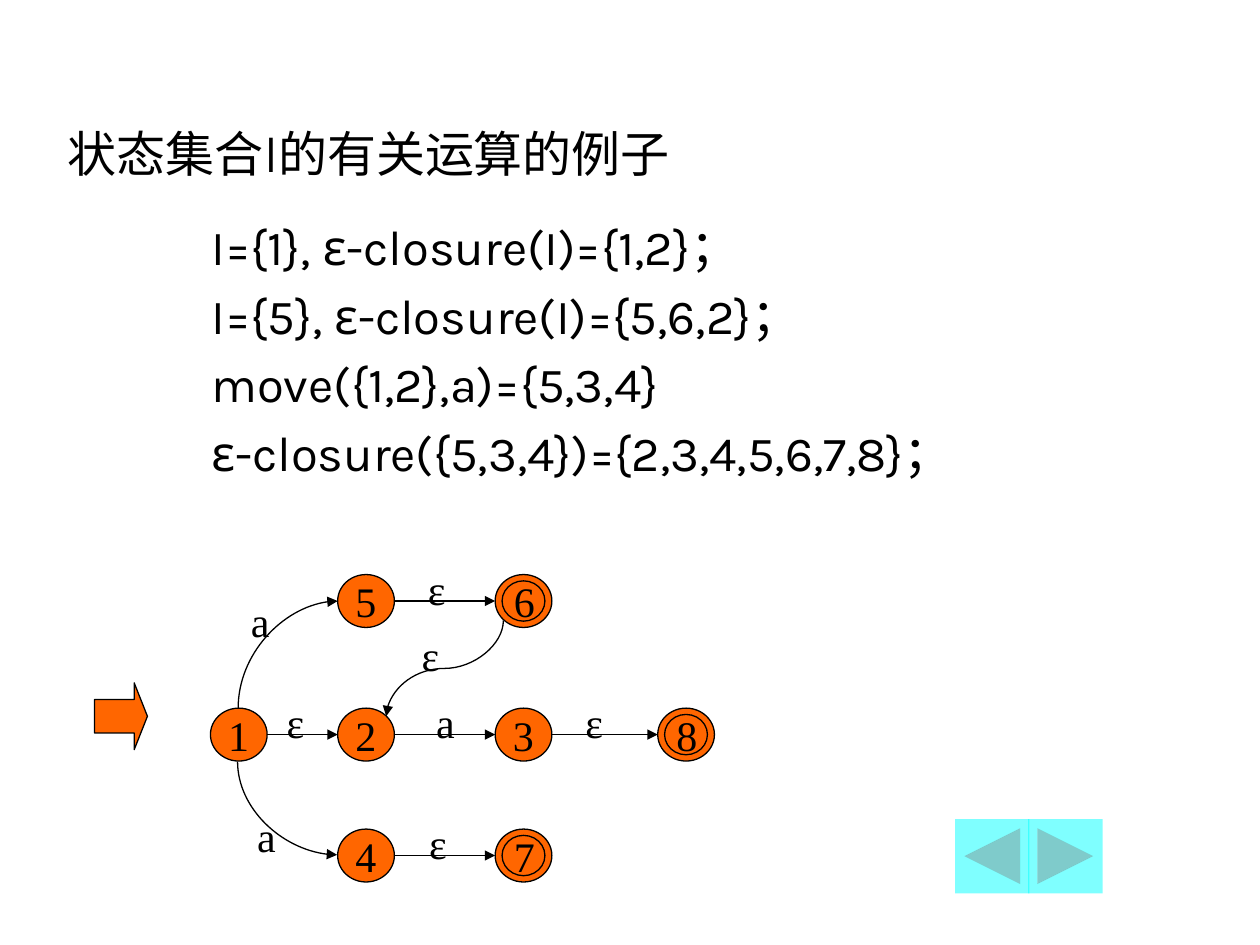
from lxml import etree
from pptx import Presentation
from pptx.dml.color import RGBColor
from pptx.enum.shapes import MSO_CONNECTOR as CONN, MSO_SHAPE as SHAPE
from pptx.enum.text import MSO_ANCHOR as ANCHOR, MSO_AUTO_SIZE as AUTO, PP_ALIGN as ALIGN
from pptx.oxml.ns import qn
from pptx.util import Inches, Pt

BLACK = RGBColor(0x00, 0x00, 0x00)
ORANGE = RGBColor(0xFF, 0x66, 0x00)
CYAN = RGBColor(0x00, 0xFF, 0xFF)

# Content
TITLE = "状态集合I的有关运算的例子"
LINES = [
    "I={1}, ε-closure(I)={1,2}；",
    "I={5}, ε-closure(I)={5,6,2}；",
    "move({1,2},a)={5,3,4}",
    "ε-closure({5,3,4})={2,3,4,5,6,7,8}；",
]
COLS = [1.67, 2.68, 3.93, 5.22]
ROWS = [4.56, 5.62, 6.58]
STATES = {  # state: (column, row)
    "1": (0, 1), "2": (1, 1), "5": (1, 0), "3": (2, 1),
    "4": (1, 2), "6": (2, 0), "8": (3, 1), "7": (2, 2),
}
FINAL = {"6", "7", "8"}
STRAIGHT = [("4", "7"), ("2", "3"), ("5", "6"), ("1", "2"), ("3", "8")]
CURVES = [  # preset, left, top, width, height, rotation, mirrored
    ("curvedConnector3", 3.15, 4.84, 0.76, 0.93, 90, False),
    ("curvedConnector2", 1.86, 4.80, 0.85, 0.79, 270, False),
    ("curvedConnector2", 1.91, 6.02, 0.74, 0.79, 270, True),
]
LABELS = [
    ("a", 1.89, 4.68), ("a", 1.94, 6.38), ("ε", 2.17, 5.48), ("ε", 3.24, 4.95),
    ("ε", 3.29, 4.42), ("ε", 4.54, 5.48), ("ε", 3.30, 6.44), ("a", 3.36, 5.48),
]
BUTTONS = [
    (SHAPE.ACTION_BUTTON_BACK_OR_PREVIOUS, 7.58),
    (SHAPE.ACTION_BUTTON_FORWARD_OR_NEXT, 8.16),
]
NODE_W, NODE_H = 0.45, 0.42
RING_W, RING_H = 0.34, 0.32
LABEL_W, LABEL_H = 0.35, 0.5
DIAGRAM_FONT = {"name": "Times New Roman", "size": Pt(24)}


def write(p, text, font):
    r = p.add_run()
    r.text = text
    for key, value in font.items():
        setattr(r.font, key, value)
    r.font.color.rgb = BLACK


def add_box(shapes, x, y, w, h, **frame):
    tf = shapes.add_textbox(*map(Inches, (x, y, w, h))).text_frame
    for key, value in frame.items():
        setattr(tf, key, value)
    return tf


def center_text(tf, text):
    tf.word_wrap = False
    tf.vertical_anchor = ANCHOR.MIDDLE
    tf.paragraphs[0].alignment = ALIGN.CENTER
    write(tf.paragraphs[0], text, DIAGRAM_FONT)


def add_label(shapes, text, x, y):
    tf = add_box(shapes, x, y, LABEL_W, LABEL_H, auto_size=AUTO.SHAPE_TO_FIT_TEXT)
    center_text(tf, text)


def add_filled(shapes, kind, x, y, w, h, color=ORANGE, outlined=True):
    s = shapes.add_shape(kind, *map(Inches, (x, y, w, h)))
    s.shadow.inherit = False
    s.fill.solid()
    s.fill.fore_color.rgb = color
    if outlined:
        s.line.color.rgb = BLACK
        s.line.width = Pt(0.75)
    else:
        s.line.fill.background()
    return s


def add_arrow(shapes, kind, x1, y1, x2, y2):
    c = shapes.add_connector(kind, *map(Inches, (x1, y1, x2, y2)))
    c.line.color.rgb = BLACK
    c.line.width = Pt(0.75)
    etree.SubElement(c.line._get_or_add_ln(), qn("a:tailEnd"), type="triangle")
    etree.SubElement(c._element.spPr, qn("a:effectLst"))
    return c


prs = Presentation()
prs.slide_width, prs.slide_height = Inches(10), Inches(7.5)
slide = prs.slides.add_slide(prs.slide_layouts[6])

# Title and formulas
tf = add_box(slide.shapes, 0.44, 0.25, 8.5, 1.25,
             word_wrap=True, vertical_anchor=ANCHOR.BOTTOM)
write(tf.paragraphs[0], TITLE, {"name": "Montserrat", "size": Pt(28)})

tf = add_box(slide.shapes, 1.08, 1.67, 8.5, 5.5, word_wrap=True)
for i, line in enumerate(LINES):
    p = tf.add_paragraph() if i else tf.paragraphs[0]
    p.space_before = Pt(5.6)
    pPr = p._p.get_or_add_pPr()
    pPr.set("marL", str(Inches(0.81)))
    pPr.set("indent", str(Inches(-0.31)))
    write(p, line, {"name": "Karla", "size": Pt(28)})

# Navigation buttons
for kind, x in BUTTONS:
    s = add_filled(slide.shapes, kind, x, 6.5, 0.59, 0.59, CYAN, outlined=False)
    clr = s._element.spPr.find(qn("a:solidFill"))[0]
    etree.SubElement(clr, qn("a:alpha"), val="50000")

# States: final ones have an inner ring
diagram = slide.shapes.add_group_shape().shapes
for name, (col, row) in STATES.items():
    x, y = COLS[col], ROWS[row]
    node = add_filled(diagram, SHAPE.OVAL, x, y, NODE_W, NODE_H)
    if name in FINAL:
        add_filled(diagram, SHAPE.OVAL, x + (NODE_W - RING_W) / 2,
                   y + (NODE_H - RING_H) / 2, RING_W, RING_H)
        add_label(diagram, name, x + (NODE_W - LABEL_W) / 2, y + (NODE_H - LABEL_H) / 2)
    else:
        center_text(node.text_frame, name)

# Transitions
for start, end in STRAIGHT:
    (c1, row), (c2, _) = STATES[start], STATES[end]
    y = ROWS[row] + NODE_H / 2
    add_arrow(diagram, CONN.STRAIGHT, COLS[c1] + NODE_W, y, COLS[c2], y)

for preset, x, y, w, h, rotation, mirrored in CURVES:
    c = add_arrow(diagram, CONN.CURVE, x, y, x + w, y + h)
    c._element.spPr.find(qn("a:prstGeom")).set("prst", preset)
    xfrm = c._element.spPr.find(qn("a:xfrm"))
    xfrm.set("rot", str(rotation * 60000))
    if mirrored:
        xfrm.set("flipH", "1")

for text, x, y in LABELS:
    add_label(diagram, text, x, y)

# Start arrow
s = add_filled(slide.shapes, SHAPE.RIGHT_ARROW, 0.75, 5.42, 0.42, 0.53)
s.adjustments[0], s.adjustments[1] = 0.5, 0.25

prs.save("out.pptx")
